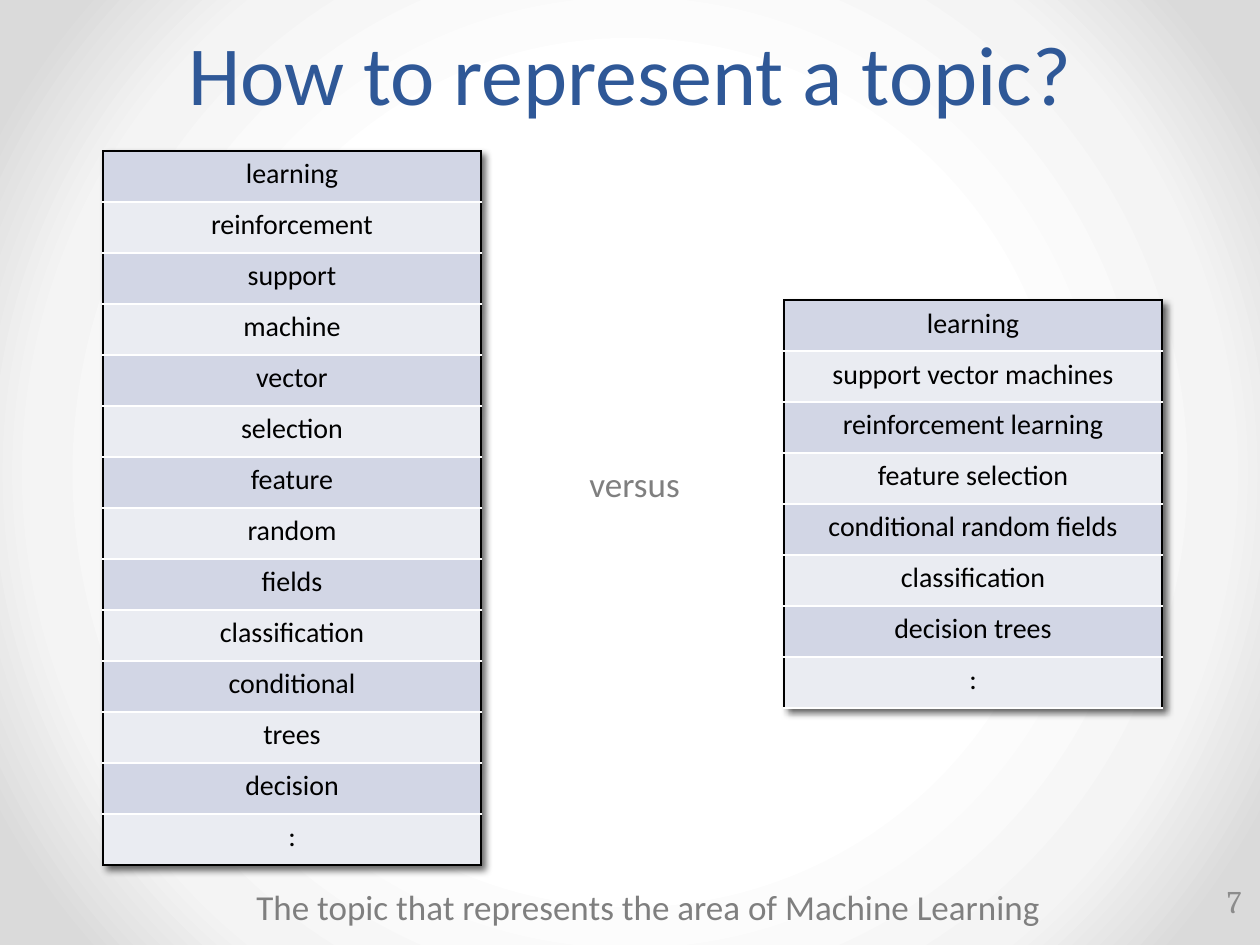
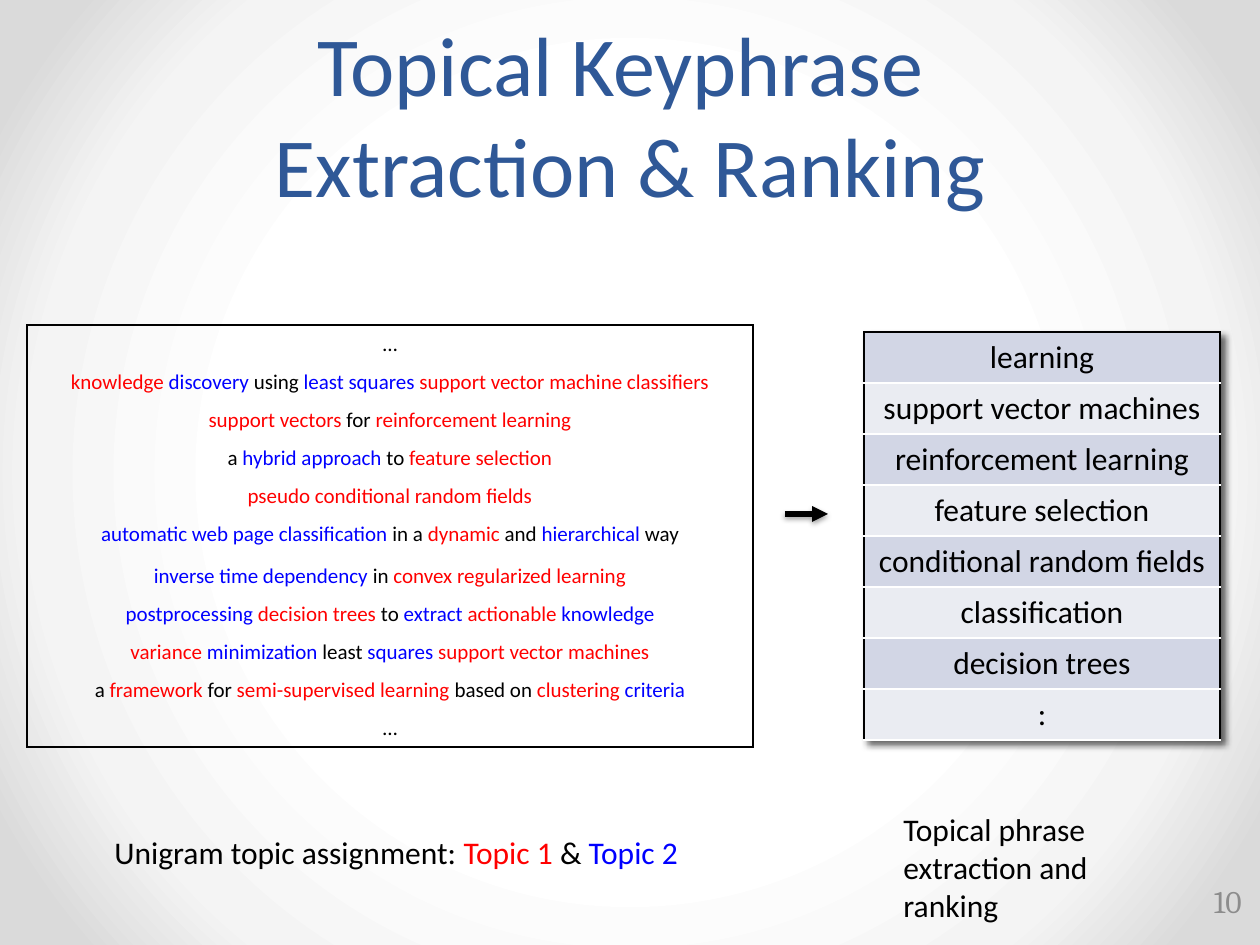
from dataclasses import dataclass
from typing import NamedTuple

from lxml import etree
from pptx import Presentation
from pptx.dml.color import RGBColor
from pptx.enum.shapes import MSO_CONNECTOR
from pptx.enum.text import MSO_ANCHOR, MSO_AUTO_SIZE, PP_ALIGN
from pptx.oxml import parse_xml
from pptx.oxml.ns import nsdecls, qn
from pptx.util import Emu, Pt

CENTER, LEFT, RIGHT = PP_ALIGN.CENTER, PP_ALIGN.LEFT, PP_ALIGN.RIGHT
TOP, MIDDLE, BOTTOM = MSO_ANCHOR.TOP, MSO_ANCHOR.MIDDLE, MSO_ANCHOR.BOTTOM
FIXED = MSO_AUTO_SIZE.NONE
STRAIGHT = MSO_CONNECTOR.STRAIGHT

BLACK = RGBColor(0x00, 0x00, 0x00)
WHITE = RGBColor(0xFF, 0xFF, 0xFF)
RED = RGBColor(0xFF, 0x00, 0x00)
BLUE = RGBColor(0x00, 0x00, 0xFF)
NAVY = RGBColor(0x2F, 0x58, 0x97)
GRAY = RGBColor(0x7F, 0x7F, 0x7F)
SILVER = RGBColor(0x8C, 0x8C, 0x8C)
DARK = RGBColor(0xD2, 0xD6, 0xE5)
PALE = RGBColor(0xEA, 0xEC, 0xF2)
GLOW = ((0, WHITE), (50, WHITE), (76, RGBColor(0xF4, 0xF4, 0xF4)),
        (92, RGBColor(0xDA, 0xDA, 0xDA)), (100, RGBColor(0xDA, 0xDA, 0xDA)))

BODY = "Calibri"
SERIF = "Cambria"
SCALE = 914400 / 126


class Run(NamedTuple):
    text: str
    color: RGBColor


Line = tuple[str | Run, ...]


@dataclass(frozen=True)
class Box:
    left: int
    top: int
    width: int
    height: int

    def emu(self) -> tuple[Emu, ...]:
        return tuple(px(n) for n in (self.left, self.top, self.width, self.height))


@dataclass(frozen=True)
class Grid:
    left: int
    top: int
    width: int
    rows: tuple[int, ...]
    size: int
    fills: tuple[RGBColor, ...] = (DARK, PALE)
    rule: RGBColor | None = WHITE
    end: RGBColor | None = WHITE
    shade: bool = True


def px(n: int) -> Emu:
    return Emu(round(n * SCALE))


def red(text: str) -> Run:
    return Run(text, RED)


def blue(text: str) -> Run:
    return Run(text, BLUE)


def write(frame, *lines: str | Line, size: int = 18, color: RGBColor = BLACK,
          font: str = BODY, align=LEFT, pitch: int | None = None) -> None:
    for i, line in enumerate(lines):
        para = frame.add_paragraph() if i else frame.paragraphs[0]
        para.alignment = align
        if pitch:
            para.line_spacing = Pt(pitch)
        for part in (line,) if isinstance(line, str) else line:
            text, tint = part if isinstance(part, Run) else (part, color)
            for j, piece in enumerate(text.split("\n")):
                if j:
                    para.add_line_break()
                run = para.add_run()
                run.text = piece
                run.font.name = font
                run.font.size = Pt(size)
                run.font.color.rgb = tint


def label(slide, box: Box, *lines: str | Line, anchor=TOP, **style) -> None:
    frame = slide.shapes.add_textbox(*box.emu()).text_frame
    frame.word_wrap = True
    frame.vertical_anchor = anchor
    write(frame, *lines, **style)


def shadow(parent, blur: float, dist: float, turn: int, alpha: int) -> None:
    parent.append(parse_xml(
        f'<a:effectLst {nsdecls("a")}><a:outerShdw blurRad="{Pt(blur)}" '
        f'dist="{Pt(dist)}" dir="{turn * 60000}" algn="tl" rotWithShape="0">'
        f'<a:srgbClr val="{BLACK}"><a:alpha val="{alpha * 1000}"/></a:srgbClr>'
        '</a:outerShdw></a:effectLst>'))


def edge(cell, *colors: RGBColor | None) -> None:
    props = cell._tc.get_or_add_tcPr()
    for i, (side, color) in enumerate(zip("LRTB", colors)):
        line = etree.Element(qn(f"a:ln{side}"), w=str(Pt(1)))
        if color is None:
            etree.SubElement(line, qn("a:noFill"))
        else:
            fill = etree.SubElement(line, qn("a:solidFill"))
            etree.SubElement(fill, qn("a:srgbClr"), val=str(color))
        props.insert(i, line)


def table(slide, grid: Grid, lines: tuple[str | Line, ...]) -> None:
    box = Box(grid.left, grid.top, grid.width, sum(grid.rows))
    data = slide.shapes.add_table(len(lines), 1, *box.emu()).table
    data.first_row = data.horz_banding = False
    if grid.shade:
        shadow(data._tbl.tblPr, 4, 3, 45, 60)
    last = len(lines) - 1
    for i, (line, height) in enumerate(zip(lines, grid.rows)):
        data.rows[i].height = px(height)
        cell = data.cell(i, 0)
        if grid.fills:
            cell.fill.solid()
            cell.fill.fore_color.rgb = grid.fills[i % len(grid.fills)]
        else:
            cell.fill.background()
        edge(cell, BLACK, BLACK, grid.rule if i else BLACK,
             grid.end if i == last else grid.rule)
        write(cell.text_frame, line, size=grid.size, align=CENTER)


def arrow(slide, left: int, right: int, y: int) -> None:
    link = slide.shapes.add_connector(STRAIGHT, px(left), px(y), px(right), px(y))
    link.line.color.rgb = BLACK
    link.line.width = Pt(3)
    etree.SubElement(link.line._get_or_add_ln(), qn("a:tailEnd"), type="triangle")
    shadow(link._element.spPr, 3.1, 1.6, 90, 38)


def backdrop(deck) -> None:
    master = deck.slide_master
    master.background.fill.solid()
    props = master.element.find(f".//{qn('p:bgPr')}")
    props.remove(props.find(qn("a:solidFill")))
    stops = "".join(f'<a:gs pos="{at * 1000}"><a:srgbClr val="{color}"/></a:gs>'
                    for at, color in GLOW)
    props.insert(0, parse_xml(
        f'<a:gradFill {nsdecls("a")} rotWithShape="1"><a:gsLst>{stops}</a:gsLst>'
        '<a:path path="circle"><a:fillToRect l="50000" t="50000" r="50000" '
        'b="50000"/></a:path></a:gradFill>'))


def page(deck, title: str, height: int, number: int):
    slide = deck.slides.add_slide(deck.slide_layouts[5])
    head = slide.shapes.title
    head.left, head.top, head.width, head.height = Box(63, 0, 1134, height).emu()
    frame = head.text_frame
    frame.auto_size = FIXED
    frame.word_wrap = True
    frame.vertical_anchor = BOTTOM
    write(frame, title, size=48, color=NAVY, align=CENTER, pitch=58)
    label(slide, Box(1177, 876, 77, 50), str(number), anchor=MIDDLE,
          font=SERIF, color=SILVER, align=RIGHT)
    return slide


WORDS = ("learning", "reinforcement", "support", "machine", "vector",
         "selection", "feature", "random", "fields", "classification",
         "conditional", "trees", "decision", ":")
TERMS = ("learning", "support vector machines", "reinforcement learning",
         "feature selection", "conditional random fields", "classification",
         "decision trees", ":")
PAPERS = (
    "…",
    (red("knowledge "), blue("discovery"), " using ", blue("least squares "),
     red("support vector machine classifiers")),
    (red("support vectors "), "for ", red("reinforcement learning")),
    ("a ", blue("hybrid approach "), "to ", red("feature selection")),
    (red("pseudo conditional random fields"),),
    (blue("automatic web page classification "), "in a ", red("dynamic"),
     " and ", blue("hierarchical"), " way"),
    (blue("inverse time dependency"), " in ", red("convex regularized learning")),
    (blue("postprocessing "), red("decision trees "), "to ", blue("extract "),
     red("actionable "), blue("knowledge")),
    (red("variance "), blue("minimization "), "least ", blue("squares "),
     red("support vector machines")),
    ("a ", red("framework"), " for ", red("semi-supervised learning "),
     "based on ", red("clustering "), blue("criteria")),
    "…",
)


def topic(deck) -> None:
    slide = page(deck, "How to represent a topic?", 129, 7)
    table(slide, Grid(103, 151, 378, (51,) * len(WORDS), 16, end=BLACK), WORDS)
    table(slide, Grid(784, 300, 378, (51,) * len(TERMS), 16), TERMS)
    label(slide, Box(577, 456, 131, 64), "versus", size=20, color=GRAY)
    label(slide, Box(244, 879, 896, 64),
          "The topic that represents the area of Machine Learning",
          size=20, color=GRAY)


def ranking(deck) -> None:
    slide = page(deck, "Topical Keyphrase \nExtraction & Ranking", 221, 10)
    rows = (38,) * 5 + (42,) + (38,) * 5
    table(slide, Grid(27, 325, 726, rows, 12, fills=(), rule=None, end=BLACK,
                      shade=False), PAPERS)
    table(slide, Grid(864, 332, 356, (51,) * len(TERMS), 18), TERMS)
    arrow(slide, 785, 828, 514)
    label(slide, Box(102, 827, 651, 50),
          ("Unigram topic assignment: ", red("Topic 1 "), "& ", blue("Topic 2")))
    label(slide, Box(891, 804, 306, 89), "Topical phrase", "extraction and ranking")


def main() -> None:
    deck = Presentation()
    deck.slide_width, deck.slide_height = px(1260), px(945)
    backdrop(deck)
    topic(deck)
    ranking(deck)
    deck.save("out.pptx")


if __name__ == "__main__":
    main()
